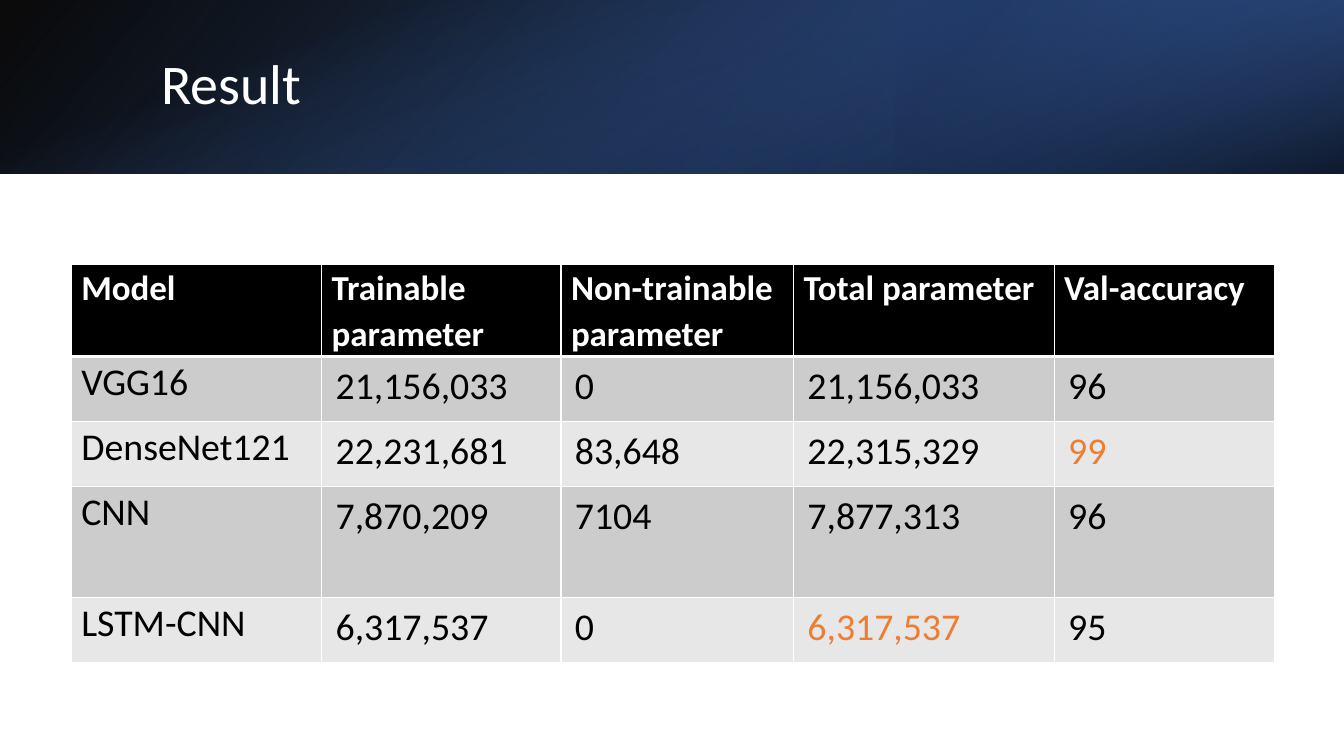
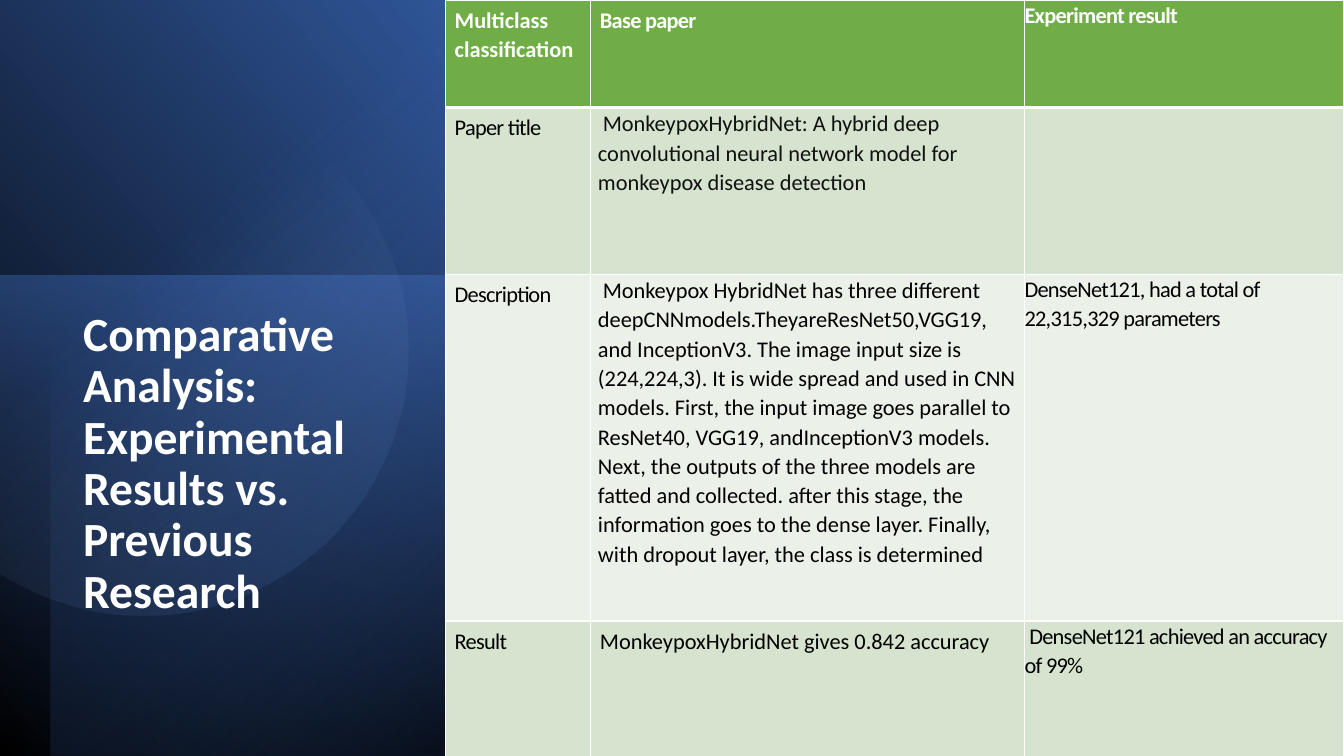
from lxml.etree import SubElement
from pptx import Presentation
from pptx.dml.color import RGBColor
from pptx.enum.shapes import MSO_SHAPE
from pptx.enum.text import MSO_ANCHOR, MSO_AUTO_SIZE, PP_ALIGN
from pptx.oxml import parse_xml
from pptx.oxml.ns import nsdecls, qn
from pptx.util import Cm, Pt

FONT = "Calibri"
BLACK = RGBColor(0x00, 0x00, 0x00)
WHITE = RGBColor(0xFF, 0xFF, 0xFF)
INK = RGBColor(0x11, 0x11, 0x11)
NAVY = RGBColor(0x20, 0x38, 0x64)
DEEP_BLUE = RGBColor(0x2F, 0x55, 0x97)
BLUE = RGBColor(0x44, 0x72, 0xC4)
PALE_BLUE = RGBColor(0x8F, 0xAA, 0xDC)
ORANGE = RGBColor(0xED, 0x7D, 0x31)
GREEN = RGBColor(0x70, 0xAD, 0x47)
GREYS = (RGBColor(0xCC, 0xCC, 0xCC), RGBColor(0xE7, 0xE7, 0xE7))
GREENS = (RGBColor(0xD5, 0xE3, 0xCF), RGBColor(0xEB, 0xF1, 0xE9))

PAGE_WIDTH, PAGE_HEIGHT = 33.87, 19.05
HEADER_HEIGHT, SIDE_WIDTH = 4.38, 11.23

# bands: left, top, width, height, rotation, flipped, angle, stops
HEADER_BANDS = [
    (0, 0, PAGE_WIDTH, HEADER_HEIGHT, 0, True, 140, [(0, BLACK, 96), (100, DEEP_BLUE, 100)]),
    (22.58, 0, 11.29, HEADER_HEIGHT, 180, True, 320, [(19, NAVY, 68), (100, BLUE, 79)]),
    (0, 0, PAGE_WIDTH, HEADER_HEIGHT, 90, False, 340, [(23, BLUE, 0), (99, BLACK, 74)]),
]
SIDE_BANDS = [
    (0, 0, SIDE_WIDTH, 19.1, 90, True, 310, [(0, BLACK, 100), (100, DEEP_BLUE, 100)]),
    (0, 6.95, SIDE_WIDTH, 12.1, 270, False, 190, [(0, BLUE, 50), (100, NAVY, 0)]),
    (1.27, 0, 9.96, PAGE_HEIGHT, 270, True, 220, [(0, BLACK, 59), (69, BLUE, 0)]),
]
DISC_PLACE = (0, 2.13, 10.31, 13.36)
DISC_OUTLINE = [
    ("moveTo", [(3.63, 2.13)]),
    ("cubicBezTo", [(4.06, 2.13), (4.52, 2.18), (4.98, 2.26)]),
    ("cubicBezTo", [(8.59, 3.02), (10.9, 6.55), (10.16, 10.16)]),
    ("cubicBezTo", [(9.42, 13.77), (5.89, 16.1), (2.29, 15.37)]),
    ("cubicBezTo", [(1.6, 15.21), (0.97, 14.99), (0.38, 14.66)]),
    ("lnTo", [(0, 14.43)]),
    ("lnTo", [(0, 3.2)]),
    ("lnTo", [(0.51, 2.92)]),
    ("cubicBezTo", [(1.45, 2.41), (2.51, 2.13), (3.63, 2.13)]),
]
DISC_STOPS = [(39, PALE_BLUE, 0), (100, DEEP_BLUE, 26)]

RESULTS = [
    ("Model", "Trainable parameter", "Non-trainable parameter", "Total parameter", "Val-accuracy"),
    ("VGG16", "21,156,033", "0", "21,156,033", "96"),
    ("DenseNet121", "22,231,681", "83,648", "22,315,329", "99"),
    ("CNN", "7,870,209", "7104", "7,877,313", "96"),
    ("LSTM-CNN", "6,317,537", "0", "6,317,537", "95"),
]
BEST_RESULTS = {(2, 4), (4, 3)}
RESULT_COLUMNS = (6.31, 6.03, 5.86, 6.57, 5.55)
RESULT_ROWS = (2.31, 1.64, 1.64, 2.79, 1.64)

COMPARISON = [
    ("Multiclass classification", "Base paper", "Experiment result"),
    ("Paper title",
     "MonkeypoxHybridNet: A hybrid deep convolutional neural network model for "
     "monkeypox disease detection", ""),
    ("Description",
     "Monkeypox HybridNet has three different deepCNNmodels.TheyareResNet50,VGG19, "
     "and InceptionV3. The image input size is (224,224,3). It is wide spread and used "
     "in CNN models. First, the input image goes parallel to ResNet40, VGG19, "
     "andInceptionV3 models. Next, the outputs of the three models are fatted and "
     "collected. after this stage, the information goes to the dense layer. Finally, "
     "with dropout layer, the class is determined",
     "DenseNet121, had a total of 22,315,329 parameters"),
    ("Result", "MonkeypoxHybridNet gives 0.842 accuracy",
     "DenseNet121 achieved an accuracy of 99%"),
]
INDENTED = {(1, 1), (2, 1), (3, 2)}
COMPARISON_COLUMNS = (3.66, 10.93, 8.03)
COMPARISON_ROWS = (2.71, 4.2, 8.74, 3.42)

LABEL_INSETS = (0.23, 0.13, 0.23, 0.13)
QUOTE_INSETS = (0.18, 0.03, 0.18, 0)
FLUSH_INSETS = (0, 0, 0, 0)
HEADING_INSETS = (0.25, 0, 0.25, 0)
NUMBER_INSETS = (0.35, 0.18, 0.35, 0.18)


def fill_gradient(shape, stops, angle):
    shape.shadow.inherit = False
    shape.line.fill.background()
    shape.fill.gradient()
    gradient = shape._element.spPr.find(qn("a:gradFill"))
    marks = "".join(
        f'<a:gs pos="{position * 1000}"><a:srgbClr val="{color}">'
        f'<a:alpha val="{alpha * 1000}"/></a:srgbClr></a:gs>'
        for position, color, alpha in stops)
    gradient.getparent().replace(gradient, parse_xml(
        f'<a:gradFill {nsdecls("a")} rotWithShape="1"><a:gsLst>{marks}</a:gsLst>'
        f'<a:lin ang="{angle * 60000}" scaled="0"/></a:gradFill>'))


def add_bands(page, bands):
    for left, top, width, height, rotation, flipped, angle, stops in bands:
        center_x, center_y = left + width / 2, top + height / 2
        if rotation % 180:
            width, height = height, width
        band = page.shapes.add_shape(
            MSO_SHAPE.RECTANGLE, Cm(center_x - width / 2), Cm(center_y - height / 2),
            Cm(width), Cm(height))
        band.rotation = rotation
        if flipped:
            band._element.spPr.find(qn("a:xfrm")).set("flipH", "1")
        fill_gradient(band, stops, angle)


def add_disc(page):
    left, top, width, height = (Cm(value) for value in DISC_PLACE)
    ends = [(Cm(points[-1][0]), Cm(points[-1][1])) for _, points in DISC_OUTLINE]
    builder = page.shapes.build_freeform(*ends[0])
    builder.add_line_segments(ends[1:], close=True)
    disc = builder.convert_to_shape()
    disc.left, disc.top, disc.width, disc.height = left, top, width, height
    outline = next(disc._element.iter(qn("a:path")))
    outline.set("w", str(width))
    outline.set("h", str(height))
    for old in list(outline):
        outline.remove(old)
    for command, points in DISC_OUTLINE:
        segment = SubElement(outline, qn(f"a:{command}"))
        for x, y in points:
            SubElement(segment, qn("a:pt"), x=str(Cm(x) - left), y=str(Cm(y) - top))
    SubElement(outline, qn("a:close"))
    fill_gradient(disc, DISC_STOPS, 52)


def set_title(page, text, place, size, bold, anchor):
    title = page.shapes.title
    page.shapes._spTree.append(title._element)
    title.left, title.top, title.width, title.height = (Cm(value) for value in place)
    frame = title.text_frame
    frame.text = text
    frame.word_wrap = True
    frame.auto_size = MSO_AUTO_SIZE.NONE
    frame.vertical_anchor = anchor
    para = frame.paragraphs[0]
    para.alignment = PP_ALIGN.LEFT
    para.line_spacing = 0.9
    set_font(para, size, WHITE, bold)


def set_font(para, size, color, bold):
    font = para.font
    font.name, font.size, font.bold = FONT, Pt(size), bold
    font.color.rgb = color


def style_cell(cell, fill, insets, top_width, bottom_width):
    cell.fill.solid()
    cell.fill.fore_color.rgb = fill
    (cell.margin_left, cell.margin_top,
     cell.margin_right, cell.margin_bottom) = (Cm(value) for value in insets)
    properties = cell._tc.get_or_add_tcPr()
    widths = {"lnL": 1, "lnR": 1, "lnT": top_width, "lnB": bottom_width}
    for index, (side, width) in enumerate(widths.items()):
        line = SubElement(properties, qn(f"a:{side}"), w=str(Pt(width)))
        color = SubElement(SubElement(line, qn("a:solidFill")), qn("a:srgbClr"))
        color.set("val", str(WHITE))
        properties.insert(index, line)


def add_grid(page, left, top, columns, heights, content, header_fill, fills, insets_at, format_para):
    table = page.shapes.add_table(
        len(heights), len(columns), Cm(left), Cm(top),
        Cm(sum(columns)), Cm(sum(heights))).table
    for column, width in zip(table.columns, columns):
        column.width = Cm(width)
    for row, (height, texts) in enumerate(zip(heights, content)):
        table.rows[row].height = Cm(height)
        fill = fills[(row - 1) % 2] if row else header_fill
        for column, text in enumerate(texts):
            cell = table.cell(row, column)
            cell.text = text
            style_cell(cell, fill, insets_at(row, column),
                       3 if row == 1 else 1, 3 if row == 0 else 1)
            format_para(cell.text_frame.paragraphs[0], row, column)


def result_insets(row, column):
    return HEADING_INSETS if row == 0 or column == 0 else NUMBER_INSETS


def format_result(para, row, column):
    if row == 0 or column == 0:
        para.line_spacing = 1.07
        para.space_after = Pt(8)
    color = WHITE if row == 0 else ORANGE if (row, column) in BEST_RESULTS else BLACK
    set_font(para, 27 if row else 25, color, row == 0)


def comparison_insets(row, column):
    if column == 2:
        return FLUSH_INSETS
    return QUOTE_INSETS if column == 1 and row in (1, 2) else LABEL_INSETS


def format_comparison(para, row, column):
    para.line_spacing = 1.07
    color = WHITE if row == 0 else INK if (row, column) == (1, 1) else BLACK
    set_font(para, 16, color, row == 0)
    if (row, column) in INDENTED:
        para._p.get_or_add_pPr().set("indent", str(Cm(0.12)))
    loose_column = 1 if row else 0
    if column != loose_column:
        for span in para.runs:
            span._r.get_or_add_rPr().set("spc", "-50")


def main():
    deck = Presentation()
    deck.slide_width, deck.slide_height = Cm(PAGE_WIDTH), Cm(PAGE_HEIGHT)
    title_only = deck.slide_layouts[5]

    page = deck.slides.add_slide(title_only)
    add_bands(page, HEADER_BANDS)
    set_title(page, "Result", (3.81, 0.95, 27.89, 2.44), 40, False, MSO_ANCHOR.MIDDLE)
    add_grid(page, 1.8, 6.67, RESULT_COLUMNS, RESULT_ROWS, RESULTS,
             BLACK, GREYS, result_insets, format_result)

    page = deck.slides.add_slide(title_only)
    add_bands(page, SIDE_BANDS)
    add_disc(page)
    set_title(page, "Comparative Analysis: Experimental Results vs. Previous Research",
              (1.84, 7.69, 8, 8.53), 34, True, MSO_ANCHOR.TOP)
    add_grid(page, SIDE_WIDTH, 0, COMPARISON_COLUMNS, COMPARISON_ROWS, COMPARISON,
             GREEN, GREENS, comparison_insets, format_comparison)

    deck.save("out.pptx")


if __name__ == "__main__":
    main()
